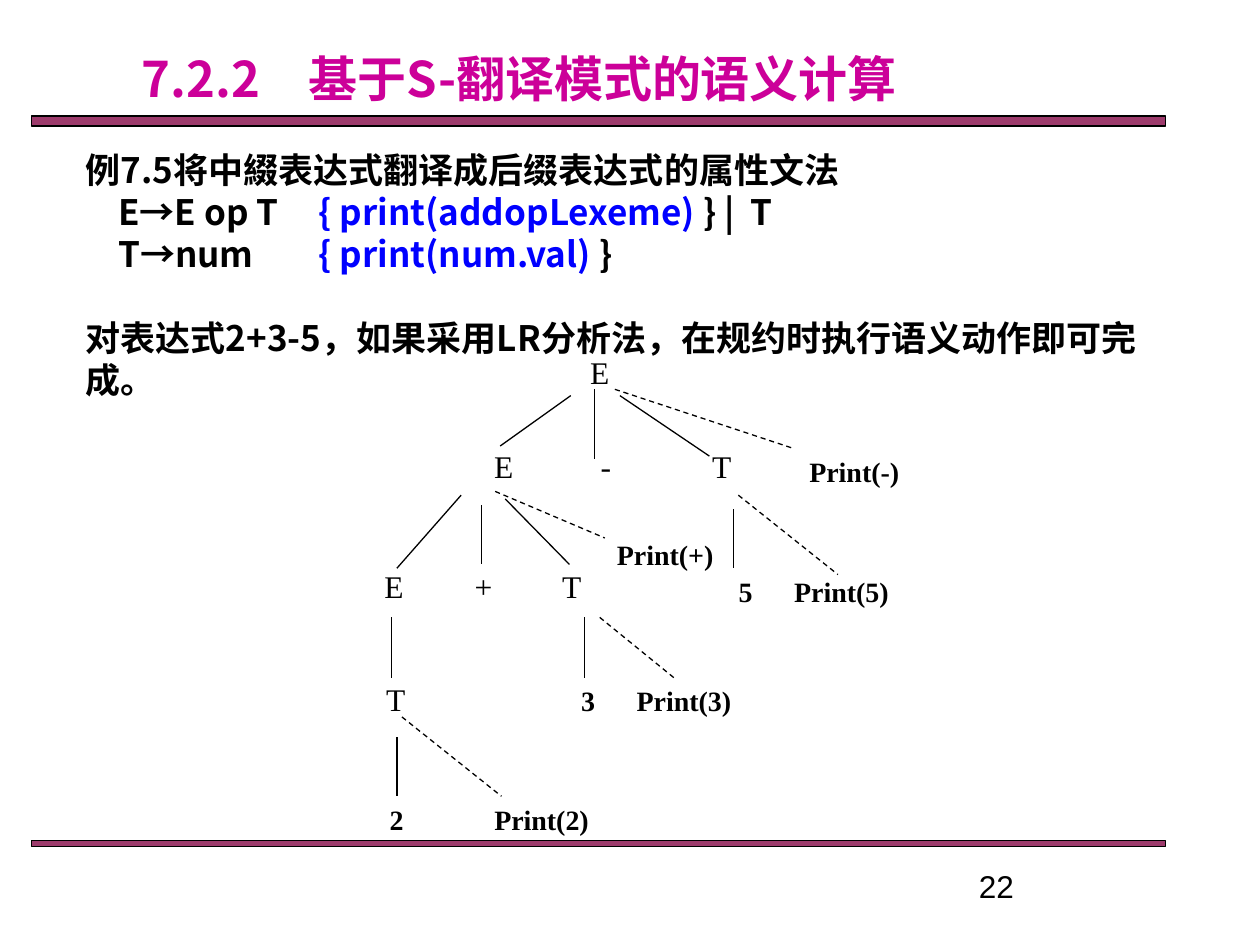
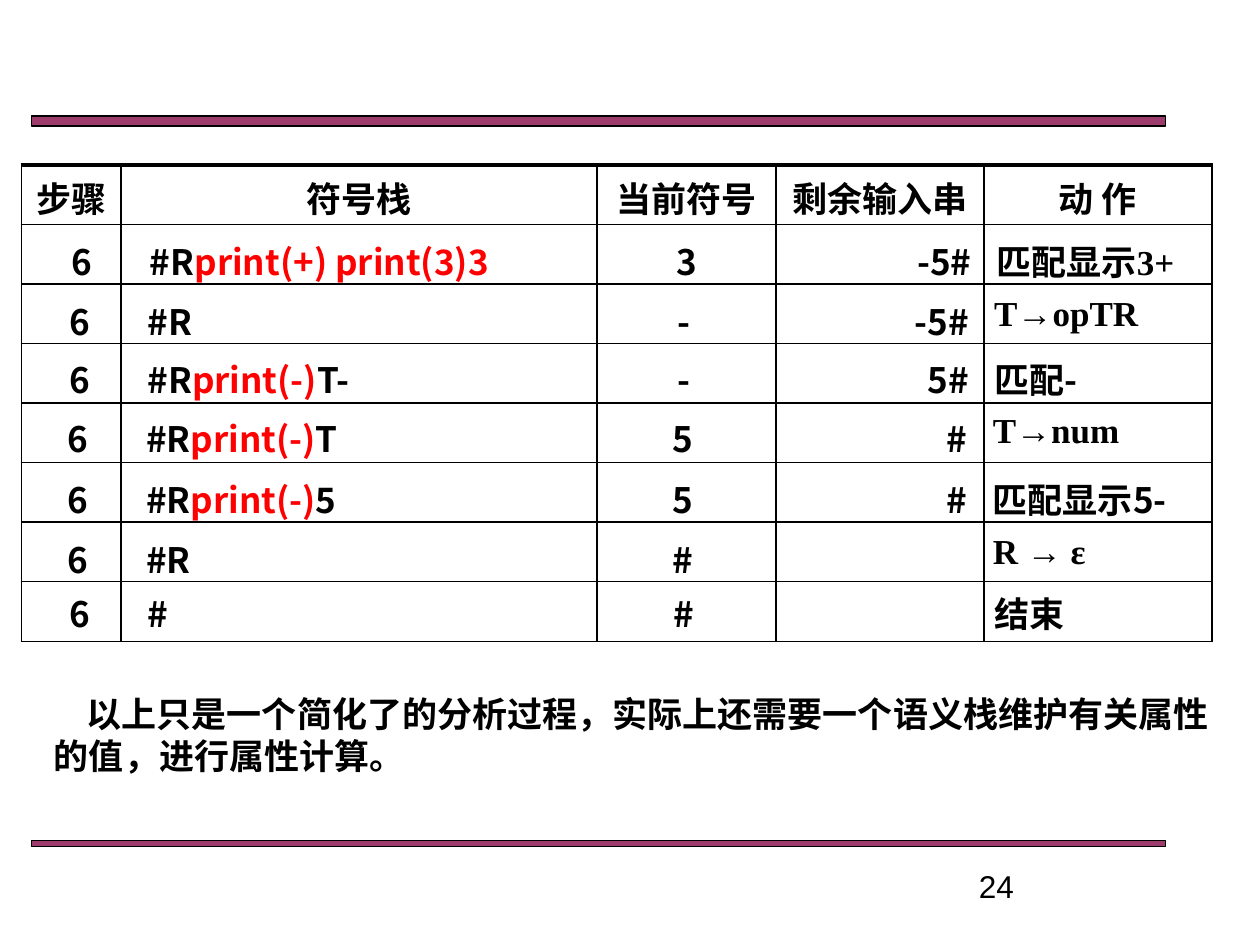
from dataclasses import dataclass

from lxml import etree
from pptx import Presentation
from pptx.dml.color import RGBColor
from pptx.enum.dml import MSO_LINE
from pptx.enum.shapes import MSO_CONNECTOR, MSO_SHAPE
from pptx.enum.text import MSO_ANCHOR, MSO_AUTO_SIZE, PP_ALIGN
from pptx.oxml.ns import qn
from pptx.util import Inches, Pt

LEFT, CENTER, RIGHT = PP_ALIGN.LEFT, PP_ALIGN.CENTER, PP_ALIGN.RIGHT
TOP, MIDDLE = MSO_ANCHOR.TOP, MSO_ANCHOR.MIDDLE
RECTANGLE, STRAIGHT, DASH = MSO_SHAPE.RECTANGLE, MSO_CONNECTOR.STRAIGHT, MSO_LINE.DASH
NO_AUTOFIT = MSO_AUTO_SIZE.NONE
TITLE_ONLY, BLANK = 5, 6


@dataclass(frozen=True)
class Theme:
    black: str = "000000"
    blue: str = "0000FF"
    red: str = "FF0000"
    magenta: str = "CC0099"
    band: str = "993366"
    band_alpha: int = 96000
    sans: str = "Noto Sans CJK SC"
    serif: str = "Times New Roman"
    plain: str = "Arial"
    title: int = 28
    body: int = 20
    node: int = 18
    leaf: int = 16
    leading: int = 24
    thin: float = 0.75
    border: float = 1
    top_border: float = 2.25


THEME = Theme()
INSET = 0.1

BANDS = [(0.25, 0.92, 9, 0.08), (0.25, 6.67, 9, 0.05)]
PAGE_NUMBER_BOX = (7.67, 6.83, 2.08, 0.46)

TITLE = "7.2.2\u3000基于S-翻译模式的语义计算"
TITLE_BOX = (-0.08, 0.33, 8.4, 0.57)
GRAMMAR_BOX = (0.58, 1.06, 8.67, 2.19)
GRAMMAR_TABS = (0.26, 1.85, 5.28)
GRAMMAR = [
    "例7.5将中綴表达式翻译成后缀表达式的属性文法",
    ["\tE→E op T\t", ("{ print(addopLexeme) ", THEME.blue), "} |\tT"],
    ["\tT→num\t", ("{ print(num.val) ", THEME.blue), "}"],
]
METHOD = "对表达式2+3-5，如果采用LR分析法，在规约时执行语义动作即可完成。"

NODE_ROWS = [
    ((4.52, 2.75, 0.47, 0.51), [("E", 4.76)]),
    ((2.92, 3.5, 3.84, 0.4), [("E", 4.0), ("-", 4.81), ("T", 5.73)]),
    ((2.42, 4.45, 2.83, 0.4), [("E", 3.13), ("+", 3.84), ("T", 4.54)]),
    ((2.75, 5.35, 0.78, 0.5), [("T", 3.14)]),
]
LEAF_ROWS = [
    ((5.9, 3.56, 1.58, 0.37), [("Print(-)", 6.78)]),
    ((4.41, 4.22, 1.57, 0.37), [("Print(+)", 5.28)]),
    ((5.67, 4.51, 1.58, 0.37), [("5", 5.92), ("Print(5)", 6.68)]),
    ((4.42, 5.38, 1.58, 0.37), [("3", 4.67), ("Print(3)", 5.43)]),
    ((2.67, 6.32, 2.44, 0.37), [("2", 3.15), ("Print(2)", 4.3)]),
]
BRANCHES = [
    (4.53, 3.14, 3.97, 3.54), (4.72, 3.09, 4.72, 3.64), (4.92, 3.14, 5.63, 3.62),
    (3.66, 3.93, 3.15, 4.51), (3.82, 4.01, 3.82, 4.48), (4.01, 3.96, 4.52, 4.48),
    (5.82, 4.04, 5.82, 4.51), (3.11, 4.9, 3.11, 5.38), (4.64, 4.9, 4.64, 5.38),
    (3.15, 5.85, 3.15, 6.32),
]
ACTIONS = [
    (4.88, 3.09, 6.3, 3.56), (3.93, 3.9, 4.8, 4.27), (5.86, 3.93, 6.65, 4.56),
    (4.76, 4.9, 5.35, 5.38), (3.19, 5.69, 3.98, 6.32),
]

GRID_BOX = (0.17, 1.31, 9.45, 3.78)
GRID_COLUMNS = (0.79, 3.78, 1.42, 1.65, 1.81)
HEADINGS = ("步骤", "符号栈", "当前符号", "剩余输入串", "动 作")
HEADING_ALIGNMENTS = (CENTER,) * len(HEADINGS)
STEP_SIZE = (9.42, 0.43)
STEP_COLUMNS = (0.88, 3.65, 1.42, 1.65, 1.82)
STEP_ALIGNMENTS = (CENTER, LEFT, CENTER, RIGHT, LEFT)
STEPS = [
    (0.21, 1.81, ["6", ["#R", ("print(+) print(3)3", THEME.red)], "3", "-5#", "匹配显示3+"]),
    (0.19, 2.29, ["6", "#R", "-", "-5#", "T→opTR"]),
    (0.19, 2.75, ["6", ["#R", ("print(-)", THEME.red), "T-"], "-", "5#", "匹配-"]),
    (0.18, 3.22, ["6", ["#R", ("print(-)", THEME.red), "T"], "5", "#", "T→num"]),
    (0.18, 3.7, ["6", ["#R", ("print(-)", THEME.red), "5"], "5", "#", "匹配显示5-"]),
    (0.18, 4.18, ["6", "#R", "#", "", "R → ε"]),
    (0.19, 4.61, ["6", "#", "#", "", "结束"]),
]
SERIF_CELLS = ("匹配显示3+", "T→opTR", "T→num", "R → ε", "结束")
REMARK = "以上只是一个简化了的分析过程，实际上还需要一个语义栈维护有关属性的值，进行属性计算。"
REMARK_BOX = (0.33, 5.45, 9.39, 0.77)


def inches(values):
    return [Inches(value) for value in values]


def write_text(frame, paragraphs, size=THEME.body, font=THEME.sans, color=THEME.black,
               bold=True, align=LEFT, leading=None, indent=0, tabs=(), tab_align="l",
               gap_before_last=0):
    for index, content in enumerate(paragraphs):
        paragraph = frame.paragraphs[0] if index == 0 else frame.add_paragraph()
        paragraph.alignment = align
        last = index == len(paragraphs) - 1
        paragraph.space_before = Pt(gap_before_last if last else 0)
        if leading:
            paragraph.line_spacing = Pt(leading)
        properties = paragraph._p.get_or_add_pPr()
        if indent:
            properties.set("marL", "0")
            properties.set("indent", str(Inches(indent)))
        if tabs:
            tab_list = etree.SubElement(properties, qn("a:tabLst"))
            for position in tabs:
                etree.SubElement(tab_list, qn("a:tab"), pos=str(Inches(position)),
                                 algn=tab_align)
        for part in [content] if isinstance(content, str) else content:
            text, run_color = (part, color) if isinstance(part, str) else part
            run = paragraph.add_run()
            run.text = text
            run.font.size = Pt(size)
            run.font.bold = bold
            run.font.color.rgb = RGBColor.from_string(run_color)
            run.font.name = font
            etree.SubElement(run._r.get_or_add_rPr(), qn("a:ea"), typeface=THEME.sans)


def set_frame(frame, anchor=TOP, top=0.05, bottom=0.05):
    frame.word_wrap = True
    frame.auto_size = NO_AUTOFIT
    frame.vertical_anchor = anchor
    frame.margin_left = frame.margin_right = Inches(INSET)
    frame.margin_top, frame.margin_bottom = Inches(top), Inches(bottom)


def add_text(slide, box, paragraphs, top=0.05, **text_format):
    frame = slide.shapes.add_textbox(*inches(box)).text_frame
    set_frame(frame, top=top)
    write_text(frame, paragraphs, **text_format)


def add_labels(slide, box, labels, **text_format):
    if len(labels) == 1:
        text, center = labels[0]
        box = (center - box[2] / 2, *box[1:])
        add_text(slide, box, [text], font=THEME.serif, align=CENTER, **text_format)
        return
    text = "".join("\t" + label for label, center in labels)
    tabs = [center - box[0] - INSET for label, center in labels]
    add_text(slide, box, [text], font=THEME.serif, tabs=tabs, tab_align="ctr", **text_format)


def add_line(slide, ends, dash=None):
    line = slide.shapes.add_connector(STRAIGHT, *inches(ends))
    line.line.color.rgb = RGBColor.from_string(THEME.black)
    line.line.width = Pt(THEME.thin)
    if dash:
        line.line.dash_style = dash
    etree.SubElement(line.element.spPr, qn("a:effectLst"))


def add_master_bands(slide, master):
    for number, box in enumerate(BANDS, start=101):
        band = slide.shapes.add_shape(RECTANGLE, *inches(box))
        band.shadow.inherit = False
        band.fill.solid()
        band.fill.fore_color.rgb = RGBColor.from_string(THEME.band)
        color = band.element.spPr.find(".//" + qn("a:srgbClr"))
        etree.SubElement(color, qn("a:alpha"), val=str(THEME.band_alpha))
        band.line.color.rgb = RGBColor.from_string(THEME.black)
        band.line.width = Pt(THEME.thin)
        band.element.nvSpPr.cNvPr.set("id", str(number))
        master.shapes.element.append(band.element)


def add_page_number(slide, number):
    add_text(slide, PAGE_NUMBER_BOX, [number], size=THEME.node, font=THEME.plain, bold=False)


def set_borders(cell, width, top_width):
    properties = cell._tc.get_or_add_tcPr()
    for side in ("lnL", "lnR", "lnT", "lnB"):
        line_width = top_width if side == "lnT" else width
        border = etree.SubElement(properties, qn("a:" + side), w=str(Pt(line_width)))
        if line_width:
            fill = etree.SubElement(border, qn("a:solidFill"))
            etree.SubElement(fill, qn("a:srgbClr"), val=THEME.black)
        else:
            etree.SubElement(border, qn("a:noFill"))


def add_grid(slide, box, columns, rows, alignments, border=0, top_border=0, bottom=0.05):
    table = slide.shapes.add_table(len(rows), len(columns), *inches(box)).table
    table.first_row = table.horz_banding = False
    for column, width in zip(table.columns, columns):
        column.width = Inches(width)
    for row_index, contents in enumerate(rows):
        table.rows[row_index].height = Inches(box[3] / len(rows))
        for column_index, content in enumerate(contents):
            cell = table.cell(row_index, column_index)
            set_borders(cell, border, border if row_index else top_border)
            cell.fill.background()
            cell.margin_bottom = Inches(bottom)
            if content:
                write_text(cell.text_frame, [content], align=alignments[column_index],
                           font=THEME.serif if content in SERIF_CELLS else THEME.sans)


def build_tree_slide(slide):
    title = slide.shapes.title
    title.left, title.top, title.width, title.height = inches(TITLE_BOX)
    set_frame(title.text_frame, MIDDLE, top=0, bottom=0)
    write_text(title.text_frame, [TITLE], size=THEME.title, color=THEME.magenta, align=CENTER)
    add_text(slide, GRAMMAR_BOX, [*GRAMMAR, METHOD], top=0.12, leading=THEME.leading,
             tabs=GRAMMAR_TABS, gap_before_last=THEME.leading)
    for box, labels in NODE_ROWS:
        add_labels(slide, box, labels, size=THEME.node, bold=False)
    for box, labels in LEAF_ROWS:
        add_labels(slide, box, labels, size=THEME.leaf)
    for ends in BRANCHES:
        add_line(slide, ends)
    for ends in ACTIONS:
        add_line(slide, ends, DASH)
    add_page_number(slide, "22")


def build_steps_slide(slide):
    empty_rows = [("",) * len(HEADINGS)] * len(STEPS)
    add_grid(slide, GRID_BOX, GRID_COLUMNS, [HEADINGS, *empty_rows], HEADING_ALIGNMENTS,
             border=THEME.border, top_border=THEME.top_border, bottom=0)
    for left, top, contents in STEPS:
        add_grid(slide, (left, top, *STEP_SIZE), STEP_COLUMNS, [contents], STEP_ALIGNMENTS)
    add_text(slide, REMARK_BOX, [REMARK], leading=THEME.leading, indent=0.26)
    add_page_number(slide, "24")


presentation = Presentation()
presentation.slide_width, presentation.slide_height = Inches(10), Inches(7.5)
tree_slide = presentation.slides.add_slide(presentation.slide_layouts[TITLE_ONLY])
steps_slide = presentation.slides.add_slide(presentation.slide_layouts[BLANK])
add_master_bands(tree_slide, presentation.slide_master)
build_tree_slide(tree_slide)
build_steps_slide(steps_slide)
presentation.save("out.pptx")
